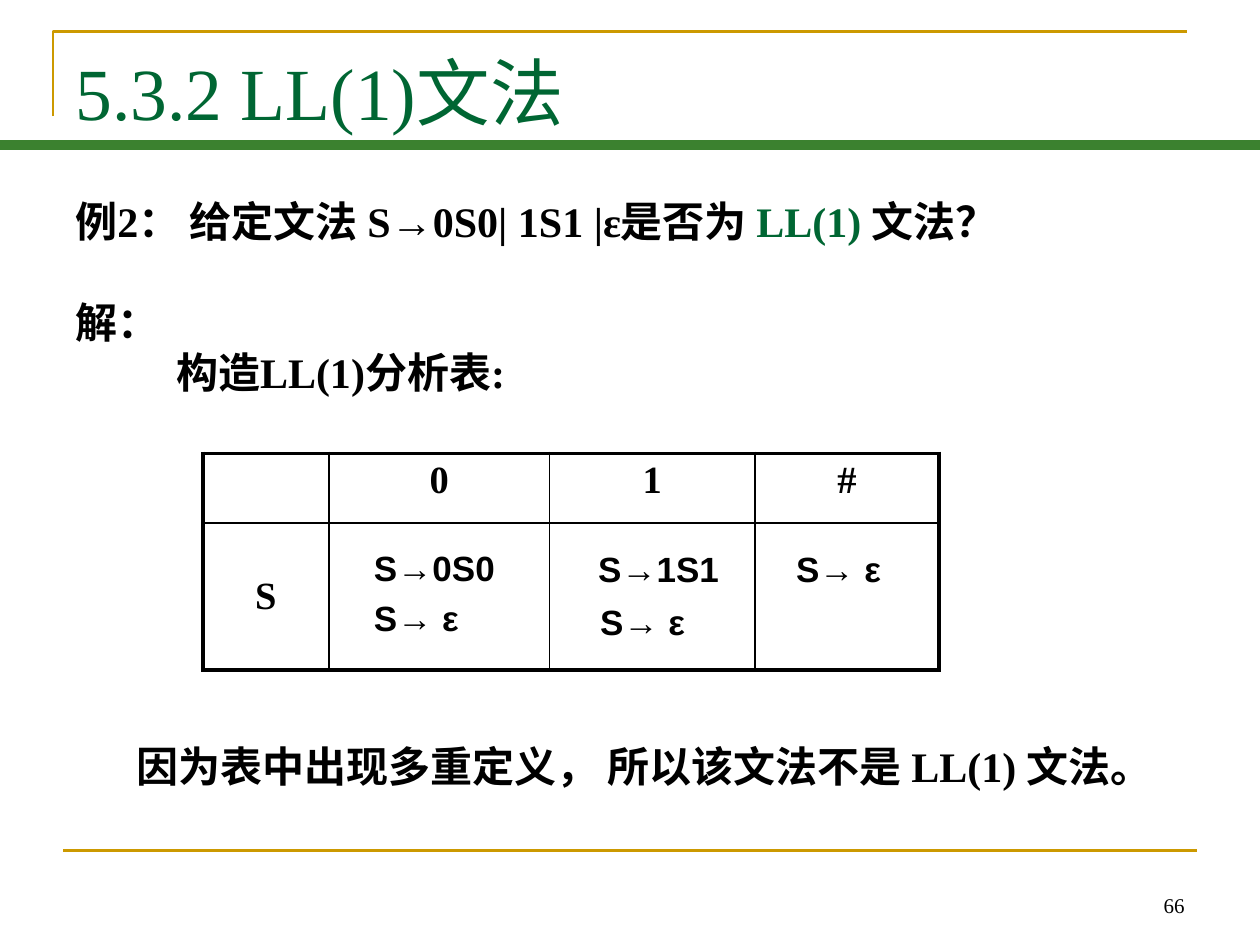
import dataclasses

import pptx
import pptx.dml.color
import pptx.enum.shapes
import pptx.enum.text
import pptx.oxml.ns
import pptx.util
from lxml import etree

Cm = pptx.util.Cm
Pt = pptx.util.Pt
Align = pptx.enum.text.PP_ALIGN
Anchor = pptx.enum.text.MSO_ANCHOR
qn = pptx.oxml.ns.qn


@dataclasses.dataclass(frozen=True)
class Theme:
    """Colours, fonts and sizes of the slide."""
    ink: str = "000000"
    accent: str = "006633"
    gold: str = "CC9900"
    band: str = "3B812F"
    serif: str = "Times New Roman"
    sans: str = "Arial"
    chinese: str = "Noto Sans CJK SC"
    title: float = 42
    body: float = 24
    table: float = 22
    formula: float = 20
    number: float = 12
    thin: float = 1
    rule: float = 1.5
    outer: float = 2.25
    thick: float = 6


THEME = Theme()


@dataclasses.dataclass(frozen=True)
class Box:
    """A region in centimetres."""
    left: float
    top: float
    width: float
    height: float

    def inner(self, left, top, width, height):
        """Return a box placed relative to this one."""
        return Box(self.left + left, self.top + top, width, height)

    def lengths(self):
        """Return the four lengths for python-pptx."""
        return Cm(self.left), Cm(self.top), Cm(self.width), Cm(self.height)


def rgb(value):
    """Turn a hex string into a colour."""
    return pptx.dml.color.RGBColor.from_string(value)


def write(para, text, size=THEME.body, color=THEME.ink, bold=True, font=THEME.serif,
          align=Align.LEFT, before=0, indent=0):
    """Append a formatted span to a paragraph."""
    para.alignment = align
    para.space_before = Pt(before)
    if indent:
        para._p.get_or_add_pPr().set("marL", str(Cm(indent)))
    span = para.add_run()
    span.text = text
    span.font.size = Pt(size)
    span.font.bold = bold
    span.font.name = font
    span.font.color.rgb = rgb(color)
    latin = span.font._element.find(qn("a:latin"))
    east = etree.Element(qn("a:ea"), typeface=THEME.chinese)
    latin.addnext(east)


def add_frame(page, box, anchor=Anchor.TOP):
    """Add a wrapping text box and return its frame."""
    frame = page.shapes.add_textbox(*box.lengths()).text_frame
    frame.word_wrap = True
    frame.vertical_anchor = anchor
    return frame


def add_rule(page, box, color, weight):
    """Draw a straight rule along the top of a box."""
    kind = pptx.enum.shapes.MSO_CONNECTOR.STRAIGHT
    left, top, width, _ = box.lengths()
    rule = page.shapes.add_connector(kind, left, top, left + width, top)
    rule.line.color.rgb = rgb(color)
    rule.line.width = Pt(weight)
    etree.SubElement(rule._element.spPr, qn("a:effectLst"))


def draw_header(page, box):
    """Place the gold corner, the title and the green band."""
    corner = box.inner(1.07, 0.64, 22.86, 1.7)
    left, top, width, height = corner.lengths()
    builder = page.shapes.build_freeform(left, top + height)
    builder.add_line_segments([(left, top), (left + width, top)], close=False)
    outline = builder.convert_to_shape()
    outline.fill.background()
    outline.line.color.rgb = rgb(THEME.gold)
    outline.line.width = Pt(THEME.rule)
    outline.shadow.inherit = False

    add_rule(page, box.inner(0, box.height, box.width, 0), THEME.band, THEME.thick)

    title = page.shapes.title
    title.left, title.top, title.width, title.height = box.inner(1.27, 0.76, 22.83, 2.16).lengths()
    frame = title.text_frame
    frame.auto_size = pptx.enum.text.MSO_AUTO_SIZE.NONE
    frame.vertical_anchor = Anchor.MIDDLE
    write(frame.paragraphs[0], "5.3.2 LL(1)文法", size=THEME.title,
          color=THEME.accent, bold=False)


def draw_question(page, box):
    """Write the example and the start of its solution."""
    frame = add_frame(page, box)
    question = frame.paragraphs[0]
    write(question, "例2： 给定文法 S→0S0| 1S1 |ε是否为 ")
    write(question, "LL(1) ", color=THEME.accent)
    write(question, "文法？")
    write(frame.add_paragraph(), "解：", font=THEME.chinese, before=29)
    write(frame.add_paragraph(), "构造LL(1)分析表:", indent=2.03)


def style_cell(cell, weights):
    """Clear a cell's fill and set its left, right, top and bottom borders."""
    properties = cell._tc.get_or_add_tcPr()
    for side, weight in zip("LRTB", weights):
        line = etree.SubElement(properties, qn(f"a:ln{side}"), w=str(Pt(weight)))
        fill = etree.SubElement(line, qn("a:solidFill"))
        etree.SubElement(fill, qn("a:srgbClr"), val=THEME.ink)
    cell.fill.background()


def draw_parse_table(page, box):
    """Build the parse table and lay its productions over the cells."""
    labels = [["", "0", "1", "#"], ["S", "", "", ""]]
    widths, heights = [2.54, 4.45, 4.14, 3.71], [1.4, 2.97]
    last_row, last_column = len(heights) - 1, len(widths) - 1
    table = page.shapes.add_table(len(heights), len(widths), *box.lengths()).table
    table.first_row = table.horz_banding = False
    for column, width in zip(table.columns, widths):
        column.width = Cm(width)
    for r, height in enumerate(heights):
        table.rows[r].height = Cm(height)
        for c, label in enumerate(labels[r]):
            cell = table.cell(r, c)
            edges = (c == 0, c == last_column, r == 0, r == last_row)
            style_cell(cell, [THEME.outer if edge else THEME.thin for edge in edges])
            cell.vertical_anchor = Anchor.MIDDLE if r else Anchor.TOP
            if label:
                write(cell.text_frame.paragraphs[0], label, size=THEME.table,
                      align=Align.CENTER)

    productions = [
        ("S→0S0", 3.2, 1.76), ("S→ ε", 3.2, 2.77),
        ("S→1S1", 7.72, 1.78), ("S→ ε", 7.76, 2.85),
        ("S→ ε", 11.71, 1.78),
    ]
    for text, left, top in productions:
        frame = add_frame(page, box.inner(left, top, 3.1, 1.09))
        write(frame.paragraphs[0], text, size=THEME.formula, font=THEME.sans)


def draw_conclusion(page, box):
    """Write the conclusion under the table."""
    write(add_frame(page, box).paragraphs[0],
          "因为表中出现多重定义， 所以该文法不是 LL(1) 文法。", indent=0.21)


def draw_footer(page, box):
    """Place the gold rule and the page number."""
    add_rule(page, box, THEME.gold, THEME.rule)
    frame = add_frame(page, box.inner(box.width - 5.92, 0.2, 5.92, 1.27), Anchor.BOTTOM)
    write(frame.paragraphs[0], "66", size=THEME.number, bold=False, align=Align.RIGHT)


def main():
    """Build the deck and save it."""
    deck = pptx.Presentation()
    deck.slide_width, deck.slide_height = Cm(25.4), Cm(19.05)
    page = deck.slides.add_slide(deck.slide_layouts[5])
    draw_header(page, Box(0, 0, 25.4, 2.92))
    draw_question(page, Box(1.27, 3.81, 25.1 - 1.27, 4.37))
    draw_parse_table(page, Box(4.09, 9.14, 14.84, 4.37))
    draw_conclusion(page, Box(2.29, 14.81, 22.4, 1.27))
    draw_footer(page, Box(1.27, 17.15, 22.86, 1.47))
    deck.save("out.pptx")


if __name__ == "__main__":
    main()
